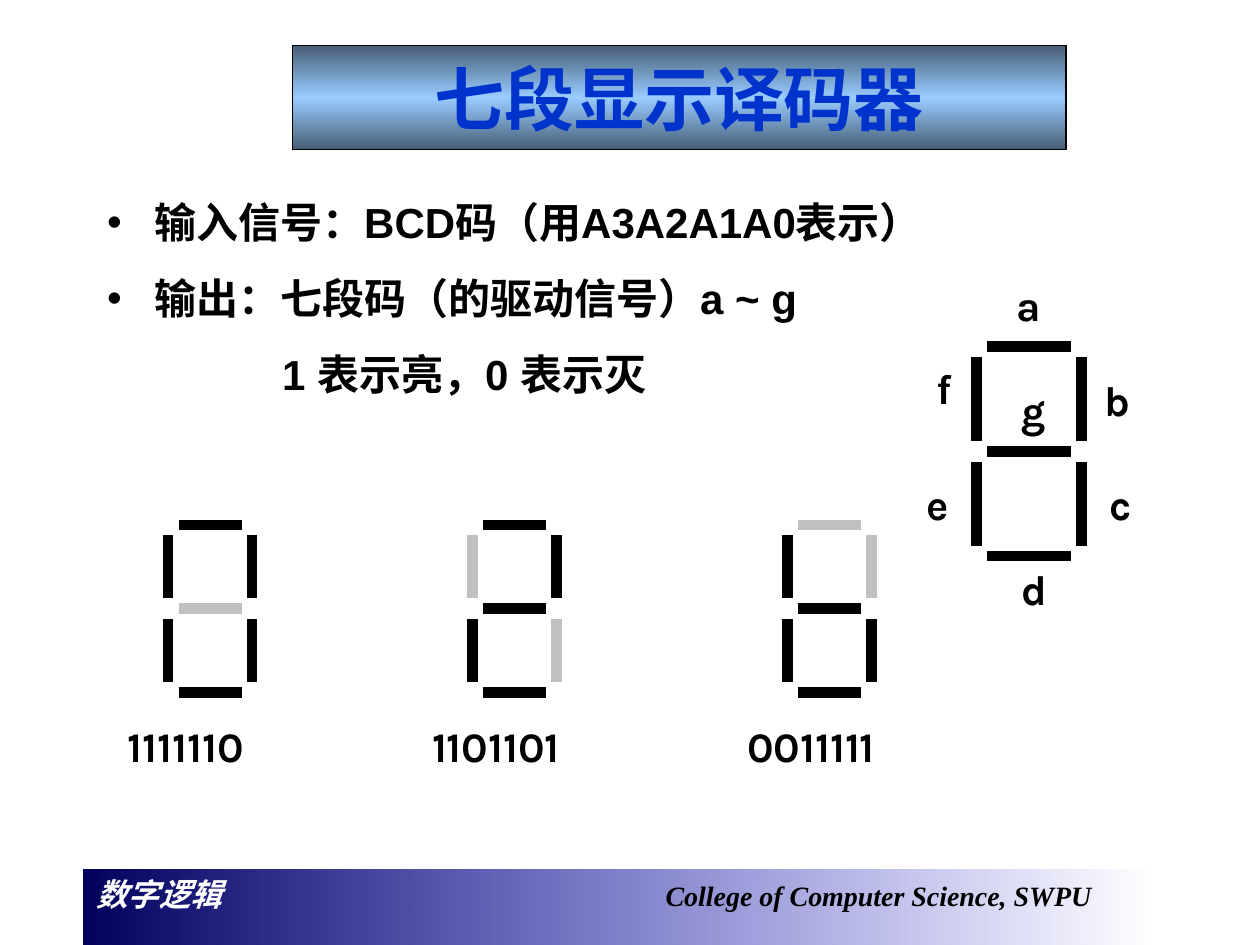
from dataclasses import dataclass

from lxml.etree import SubElement
from pptx import Presentation
from pptx.dml.color import RGBColor
from pptx.enum.shapes import MSO_CONNECTOR as Connector, MSO_SHAPE as Preset
from pptx.enum.text import MSO_ANCHOR as Anchor, MSO_AUTO_SIZE as AutoSize, PP_ALIGN as Align
from pptx.oxml.ns import qn
from pptx.util import Cm, Pt


@dataclass(frozen=True)
class Theme:
    ink: str = "000000"
    unlit: str = "C0C0C0"
    title: str = "0033CC"
    white: str = "FFFFFF"
    title_fill: tuple = ((0, "475E76", 100), (50, "99CCFF", 100), (100, "475E76", 100))
    footer_fill: tuple = ((0, "00005E", 100), (100, "0000CC", 0))
    display_font: str = "Karla"
    body_font: str = "Arial"
    footer_font: str = "Times New Roman"
    title_size: int = 40
    text_size: int = 24
    course_size: int = 18
    college_size: int = 16
    segment_width: int = 6


THEME = Theme()
SEGMENT_GAP = 0.21
LABELS = {
    "a": (20.24, 5.51),
    "b": (22.02, 7.42),
    "c": (22.12, 9.53),
    "d": (20.35, 11.23),
    "e": (18.42, 9.53),
    "f": (18.62, 7.19),
    "g": (20.35, 7.62),
}
DIGITS = {"1111110": 3.39, "1101101": 9.53, "0011111": 15.88}
BODY = (
    ("输入信号：BCD码（用A3A2A1A0表示）", True),
    ("输出：七段码（的驱动信号）a ~ g", True),
    ("1 表示亮，0 表示灭", False),
)


def apply_format(target, values):
    for name, value in values.items():
        setattr(target, name, value)


def set_font(font, name, size, color, **styles):
    apply_format(font, {"name": name, "size": Pt(size), "bold": True, **styles})
    font.color.rgb = RGBColor.from_string(color)


def place(shape, left, top, width, height):
    apply_format(shape, {"left": Cm(left), "top": Cm(top), "width": Cm(width), "height": Cm(height)})


def fill_gradient(shape, stops, angle):
    shape.fill.gradient()
    gradient = shape._element.spPr.find(qn("a:gradFill"))
    stop_list = gradient.find(qn("a:gsLst"))
    for stop in list(stop_list):
        stop_list.remove(stop)
    for position, color, opacity in stops:
        stop = SubElement(stop_list, qn("a:gs"), pos=str(position * 1000))
        tint = SubElement(stop, qn("a:srgbClr"), val=color)
        if opacity < 100:
            SubElement(tint, qn("a:alpha"), val=str(opacity * 1000))
    gradient.find(qn("a:lin")).set("ang", str(angle * 60000))


def add_footer(slide):
    bar = slide.shapes.add_shape(Preset.RECTANGLE, Cm(1.69), Cm(17.52), Cm(21.6), Cm(1.78))
    bar.shadow.inherit = False
    bar.line.fill.background()
    fill_gradient(bar, THEME.footer_fill, 0)
    bar.text_frame.vertical_anchor = Anchor.TOP
    paragraph = bar.text_frame.paragraphs[0]
    paragraph.alignment = Align.LEFT
    tabs = SubElement(paragraph._p.get_or_add_pPr(), qn("a:tabLst"))
    SubElement(tabs, qn("a:tab"), pos=str(Cm(11.48)), algn="l")
    for text, size, color in (
        ("数字逻辑\t", THEME.course_size, THEME.white),
        ("College of Computer Science, SWPU", THEME.college_size, THEME.ink),
    ):
        run = paragraph.add_run()
        run.text = text
        set_font(run.font, THEME.footer_font, size, color, italic=True)


def add_title(slide, text):
    title = slide.shapes.title
    place(title, 5.89, 0.92, 15.6, 2.1)
    fill_gradient(title, THEME.title_fill, 90)
    title.line.color.rgb = RGBColor.from_string(THEME.ink)
    title.line.width = Pt(0.75)
    title.text_frame.text = text
    title.text_frame.vertical_anchor = Anchor.MIDDLE
    paragraph = title.text_frame.paragraphs[0]
    paragraph.alignment = Align.CENTER
    set_font(paragraph.runs[0].font, THEME.display_font, THEME.title_size, THEME.title)


def add_body(slide):
    frame = slide.shapes.add_textbox(Cm(1.91), Cm(3.53), Cm(21.59), Cm(13.84)).text_frame
    frame.word_wrap = True
    for index, (text, bulleted) in enumerate(BODY):
        paragraph = frame.add_paragraph() if index else frame.paragraphs[0]
        paragraph.line_spacing = 1.3
        if index:
            paragraph.space_before = Pt(6)
        properties = paragraph._p.get_or_add_pPr()
        properties.set("marL", str(Cm(0.95 if bulleted else 3.53)))
        properties.set("indent", str(Cm(-0.95 if bulleted else 0)))
        if bulleted:
            SubElement(properties, qn("a:buFont"), typeface=THEME.body_font)
            SubElement(properties, qn("a:buChar"), char="•")
        run = paragraph.add_run()
        run.text = text
        set_font(run.font, THEME.body_font, THEME.text_size, THEME.ink)


def add_label(shapes, text, left, top, width):
    frame = shapes.add_textbox(Cm(left), Cm(top), Cm(width), Cm(1.27)).text_frame
    apply_format(frame, {"word_wrap": False, "auto_size": AutoSize.SHAPE_TO_FIT_TEXT})
    run = frame.paragraphs[0].add_run()
    run.text = text
    set_font(run.font, THEME.display_font, THEME.text_size, THEME.ink)


def add_segment(shapes, start, end, color):
    segment = shapes.add_connector(Connector.STRAIGHT, *map(Cm, start + end))
    segment.line.color.rgb = RGBColor.from_string(color)
    segment.line.width = Pt(THEME.segment_width)
    SubElement(segment._element.spPr, qn("a:effectLst"))


def add_digit(shapes, left, top, length, code):
    step = length + 2 * SEGMENT_GAP
    segments = (
        (0, 0, True),
        (step, 0, False),
        (step, step, False),
        (0, 2 * step, True),
        (0, step, False),
        (0, 0, False),
        (0, step, True),
    )
    for (across, down, horizontal), bit in zip(segments, code):
        x, y = left + across, top + down
        if horizontal:
            start, end = (x + SEGMENT_GAP, y), (x + SEGMENT_GAP + length, y)
        else:
            start, end = (x, y + SEGMENT_GAP), (x, y + SEGMENT_GAP + length)
        add_segment(shapes, start, end, THEME.ink if bit == "1" else THEME.unlit)


def main():
    presentation = Presentation()
    apply_format(presentation, {"slide_width": Cm(25.4), "slide_height": Cm(19.05)})
    slide = presentation.slides.add_slide(presentation.slide_layouts[5])
    add_footer(slide)
    add_title(slide, "七段显示译码器")
    add_body(slide)

    legend = slide.shapes.add_group_shape().shapes
    add_digit(legend, 19.69, 6.99, 1.69, "1111111")
    for name, (left, top) in LABELS.items():
        add_label(legend, name, left, top, 1)

    examples = slide.shapes.add_group_shape().shapes
    for code, left in DIGITS.items():
        add_digit(examples, left, 10.58, 1.27, code)
        add_label(slide.shapes, code, left - 1.07, 14.4, 3.89)

    presentation.save("out.pptx")


if __name__ == "__main__":
    main()
